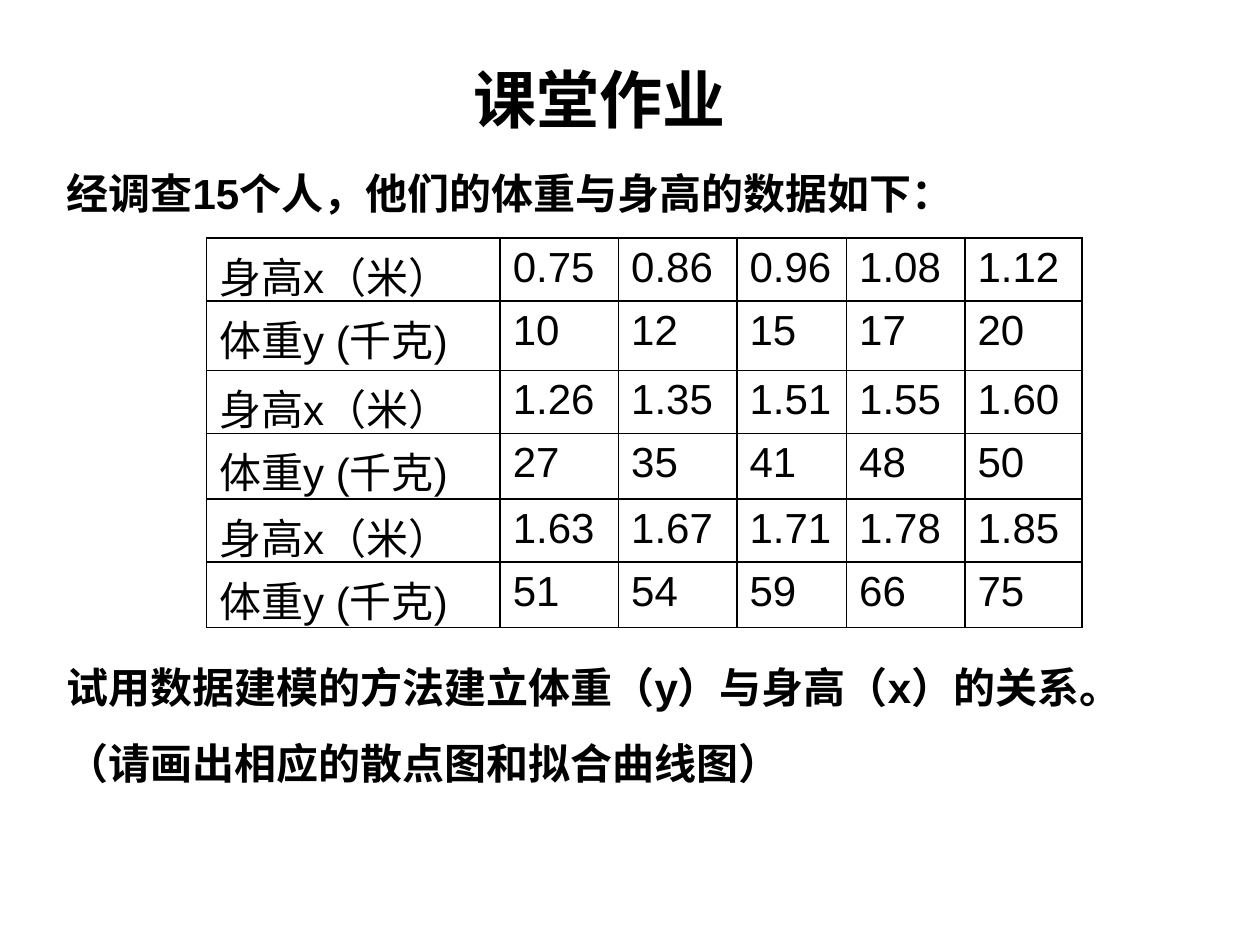
from lxml.etree import SubElement
from pptx import Presentation
from pptx.dml.color import RGBColor
from pptx.enum.text import MSO_ANCHOR, PP_ALIGN
from pptx.oxml.ns import qn
from pptx.util import Inches, Pt


def color(value):
    return RGBColor.from_string(value)


class Deck:
    font = "Arial"
    ink = "000000"
    size = 24

    def __init__(self, slide):
        self.s = slide

    def run(self, p, text, size=None, bold=False):
        r = p.add_run()
        r.text = text
        r.font.name = self.font
        r.font.size = Pt(size or self.size)
        r.font.bold = bold
        r.font.color.rgb = color(self.ink)

    def text(self, box, lines, size=None, spacing=1.0, before=0):
        tf = self.s.shapes.add_textbox(*map(Inches, box)).text_frame
        tf.word_wrap = True
        for i, line in enumerate(lines):
            p = tf.add_paragraph() if i else tf.paragraphs[0]
            p.line_spacing = spacing
            p.space_before = Pt(before)
            self.run(p, line, size, bold=True)

    def border(self, cell):
        props = cell._tc.get_or_add_tcPr()
        for i, side in enumerate(("a:lnL", "a:lnR", "a:lnT", "a:lnB")):
            ln = props.makeelement(qn(side), {"w": str(Pt(1))})
            fill = SubElement(ln, qn("a:solidFill"))
            SubElement(fill, qn("a:srgbClr"), val=self.ink)
            props.insert(i, ln)

    def table(self, left, top, widths, heights, rows):
        box = map(Inches, (left, top, sum(widths), sum(heights)))
        table = self.s.shapes.add_table(len(rows), len(widths), *box).table
        table.first_row = table.horz_banding = False
        for column, width in zip(table.columns, widths):
            column.width = Inches(width)
        for row, height, values in zip(table.rows, heights, rows):
            row.height = Inches(height)
            for cell, value in zip(row.cells, values):
                cell.fill.background()
                cell.vertical_anchor = MSO_ANCHOR.TOP
                p = cell.text_frame.paragraphs[0]
                p.alignment = PP_ALIGN.LEFT
                self.run(p, value)
                self.border(cell)


prs = Presentation()
prs.slide_width, prs.slide_height = Inches(10), Inches(7.5)
deck = Deck(prs.slides.add_slide(prs.slide_layouts[6]))

heights_m = ["0.75 0.86 0.96 1.08 1.12", "1.26 1.35 1.51 1.55 1.60",
             "1.63 1.67 1.71 1.78 1.85"]
weights_kg = ["10 12 15 17 20", "27 35 41 48 50", "51 54 59 66 75"]
rows = []
for height, weight in zip(heights_m, weights_kg):
    rows.append(["身高x（米）", *height.split()])
    rows.append(["体重y (千克)", *weight.split()])

deck.text((3.66, 0.43, 2.91, 0.71), ["课堂作业"], size=36)
deck.text((0.43, 1.2, 8.98, 0.5), ["经调查15个人，他们的体重与身高的数据如下："],
          spacing=1.2, before=1.2)
deck.text((0.43, 5, 8.58, 1.25),
          ["试用数据建模的方法建立体重（y）与身高（x）的关系。",
           "（请画出相应的散点图和拟合曲线图）"], spacing=1.5)
deck.table(1.64, 1.89, [2.33, 0.94, 0.94, 0.87, 0.94, 0.93],
           [0.5, 0.55, 0.47, 0.52, 0.47, 0.52], rows)

prs.save("out.pptx")
